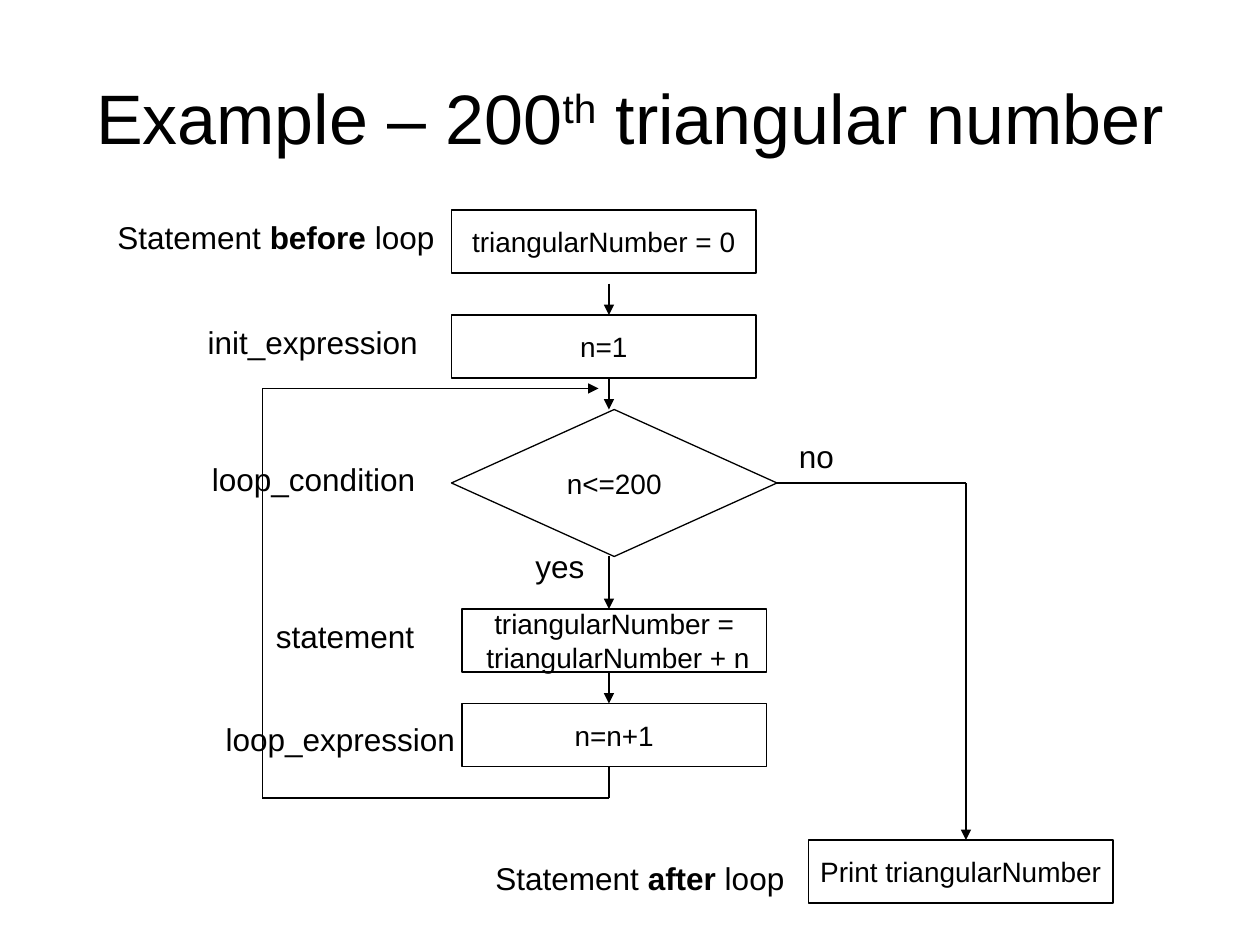
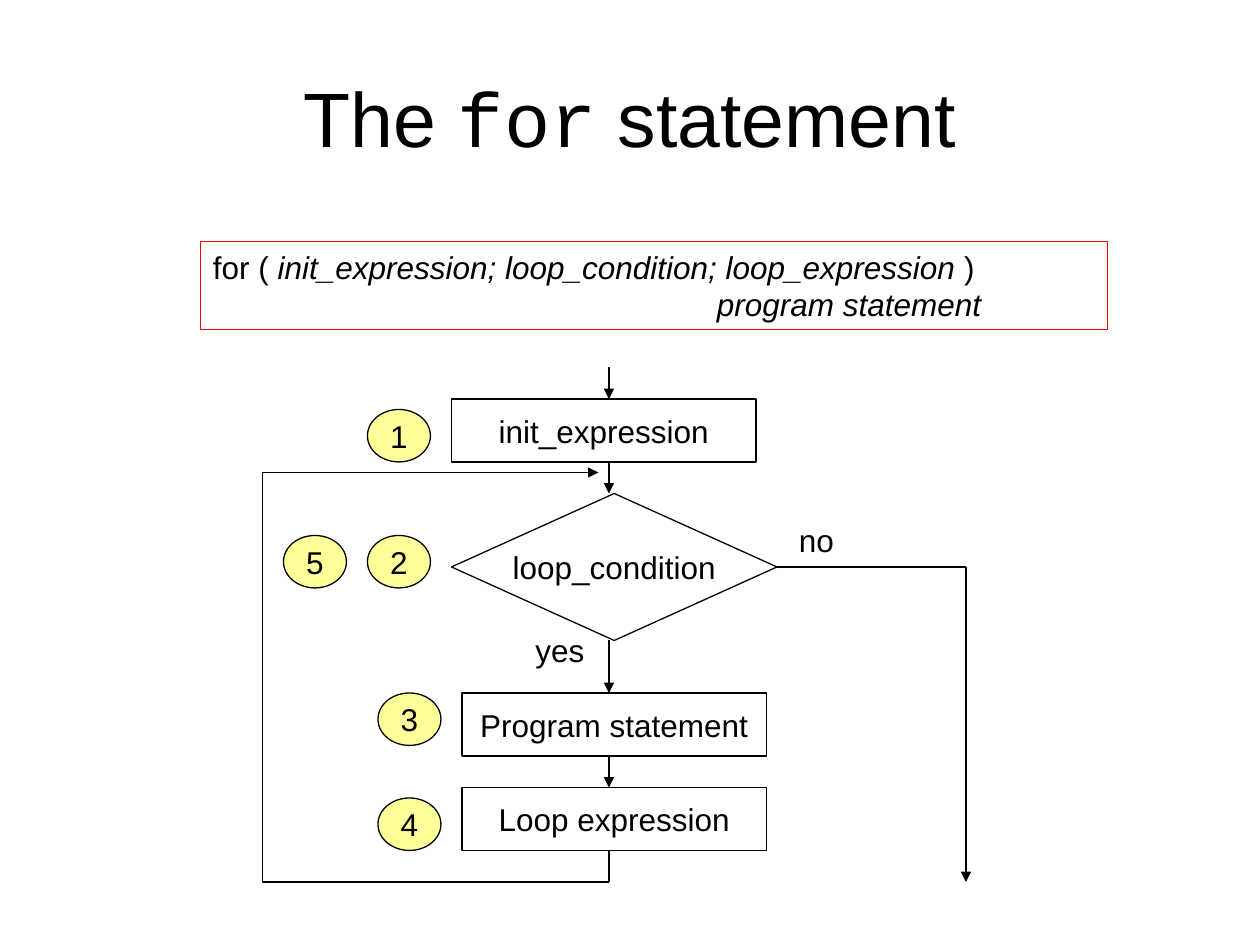
import dataclasses
import itertools

import lxml.etree
import pptx
import pptx.dml.color
import pptx.enum.shapes
import pptx.enum.text
import pptx.oxml.ns
import pptx.util

EMU_PER_PX = 7620
SHAPES = pptx.enum.shapes.MSO_SHAPE
ALIGN = pptx.enum.text.PP_ALIGN
ANCHOR = pptx.enum.text.MSO_ANCHOR


@dataclasses.dataclass(frozen=True)
class Theme:
    ink: str = "000000"
    frame: str = "FF0000"
    badge: str = "FFFF99"
    font: str = "Arial"
    code_font: str = "Courier New"
    long_title: int = 40
    title: int = 44
    body: int = 18
    small: int = 16
    line: float = 0.75


THEME = Theme()
BOX_SIZE = (290, 60)
DIAMOND_SIZE = (310, 140)
BADGE_SIZE = (60, 50)
LABEL_HEIGHT = 48
UPPER_LEFT, LOWER_LEFT = 430, 440
FLOW_X, RETURN_X, EXIT_X = 580, 250, 920


def px(*lengths):
    return [pptx.util.Emu(length * EMU_PER_PX) for length in lengths]


def colour(code):
    return pptx.dml.color.RGBColor.from_string(code)


def add_span(para, text, size, font=THEME.font, bold=False, italic=False, raised=False):
    span = para.add_run()
    span.text = text
    span.font.size = pptx.util.Pt(size)
    span.font.name = font
    span.font.bold = bold
    span.font.italic = italic
    span.font.color.rgb = colour(THEME.ink)
    if raised:
        span._r.get_or_add_rPr().set("baseline", "30000")


def write_text(box, text, size=THEME.body, align=ALIGN.LEFT, anchor=ANCHOR.TOP,
               wrap=False, indents=()):
    frame = box.text_frame
    frame.word_wrap = wrap
    frame.auto_size = pptx.enum.text.MSO_AUTO_SIZE.NONE
    frame.vertical_anchor = anchor
    paragraphs = [text] if isinstance(text, str) else text
    for index, spans in enumerate(paragraphs):
        para = frame.paragraphs[0] if index == 0 else frame.add_paragraph()
        para.alignment = align
        if index < len(indents):
            para._p.get_or_add_pPr().set("marL", str(px(indents[index])[0]))
        for words, style in [(spans, {})] if isinstance(spans, str) else spans:
            add_span(para, words, size, **style)


def add_page(deck, title, size):
    page = deck.slides.add_slide(deck.slide_layouts[5])
    box = page.shapes.title
    box.left, box.top, box.width, box.height = px(60, 36, 1080, 150)
    write_text(box, [title], size=size, align=ALIGN.CENTER, anchor=ANCHOR.MIDDLE, wrap=True)
    return page


def add_box(page, kind, place, extent, text, fill=None, line=THEME.ink, **style):
    box = page.shapes.add_shape(kind, *px(*place, *extent))
    box.shadow.inherit = False
    if fill:
        box.fill.solid()
        box.fill.fore_color.rgb = colour(fill)
    else:
        box.fill.background()
    box.line.color.rgb = colour(line)
    box.line.width = pptx.util.Pt(THEME.line)
    write_text(box, text, **{"align": ALIGN.CENTER, "anchor": ANCHOR.MIDDLE, **style})


def add_step(page, left, top, text, size):
    add_box(page, SHAPES.FLOWCHART_PROCESS, (left, top), BOX_SIZE, text, size=size)


def add_badge(page, left, top, number):
    add_box(page, SHAPES.OVAL, (left, top), BADGE_SIZE, str(number), fill=THEME.badge)


def add_label(page, left, top, width, text):
    box = page.shapes.add_textbox(*px(left, top, width, LABEL_HEIGHT))
    write_text(box, text)


def add_route(page, *points):
    for start, end in itertools.pairwise(points):
        line = page.shapes.add_connector(
            pptx.enum.shapes.MSO_CONNECTOR.STRAIGHT, *px(*start, *end))
        line.line.color.rgb = colour(THEME.ink)
        line.line.width = pptx.util.Pt(THEME.line)
        outline = line.line._get_or_add_ln()
        if end == points[-1]:
            lxml.etree.SubElement(outline, pptx.oxml.ns.qn("a:tailEnd"), type="triangle")
        lxml.etree.SubElement(line._element.spPr, pptx.oxml.ns.qn("a:effectLst"))


def add_loop_flow(page, top, exit_y, size, start, condition, statement, step):
    condition_y, statement_y, step_y = top + 90, top + 280, top + 370
    middle_y = condition_y + DIAMOND_SIZE[1] // 2
    add_step(page, UPPER_LEFT, top, start, size)
    add_box(page, SHAPES.FLOWCHART_DECISION, (UPPER_LEFT, condition_y), DIAMOND_SIZE,
            condition, size=size)
    add_step(page, LOWER_LEFT, statement_y, statement, size)
    add_step(page, LOWER_LEFT, step_y, step, size)
    for begin, end in ((top - 30, top), (top + 60, condition_y),
                       (top + 230, statement_y), (top + 340, step_y)):
        add_route(page, (FLOW_X, begin), (FLOW_X, end))
    add_route(page, (FLOW_X, top + 430), (FLOW_X, top + 460), (RETURN_X, top + 460),
              (RETURN_X, top + 70), (FLOW_X - 10, top + 70))
    add_route(page, (UPPER_LEFT + DIAMOND_SIZE[0], middle_y), (EXIT_X, middle_y),
              (EXIT_X, exit_y))
    add_label(page, 498, top + 215, 71, "yes")
    add_label(page, 749, top + 110, 58, "no")


def build_triangular_page(deck):
    title = [("Example – 200", {}), ("th", {"raised": True}), (" triangular number", {})]
    page = add_page(deck, title, THEME.long_title)
    add_step(page, UPPER_LEFT, 200, "triangularNumber = 0", THEME.small)
    add_loop_flow(page, 300, 800, THEME.small, "n=1", "n<=200",
                  ["triangularNumber =", " triangularNumber + n"], "n=n+1")
    add_step(page, 770, 800, "Print triangularNumber", THEME.small)
    for left, top, width, text in (
        (186, 302, 224, "init_expression"),
        (190, 432, 217, "loop_condition"),
        (251, 582, 156, "statement"),
        (203, 680, 242, "loop_expression"),
    ):
        add_label(page, left, top, width, text)
    for left, top, width, word in ((100, 202, 325, "before"), (460, 812, 299, "after")):
        add_label(page, left, top, width,
                  [[("Statement ", {}), (word, {"bold": True}), (" loop", {})]])


def build_for_page(deck):
    title = [("The ", {}), ("for", {"font": THEME.code_font}), (" statement", {})]
    page = add_page(deck, title, THEME.title)
    italic = {"italic": True}
    syntax = [
        [("for ( ", {}), ("init_expression; loop_condition; loop_expression ", italic), (")", {})],
        [("program statement", italic)],
    ]
    add_box(page, SHAPES.RECTANGLE, (191, 230), (864, 84), syntax, line=THEME.frame,
            align=ALIGN.LEFT, anchor=ANCHOR.TOP, wrap=True, indents=(0, 480))
    add_loop_flow(page, 380, 840, THEME.body, "init_expression", "loop_condition",
                  "Program statement", "Loop expression")
    badges = ((350, 390), (350, 510), (360, 660), (360, 760), (270, 510))
    for number, (left, top) in enumerate(badges, start=1):
        add_badge(page, left, top, number)


def main():
    deck = pptx.Presentation()
    deck.slide_width, deck.slide_height = px(1200, 900)
    build_triangular_page(deck)
    build_for_page(deck)
    deck.save("out.pptx")


if __name__ == "__main__":
    main()
